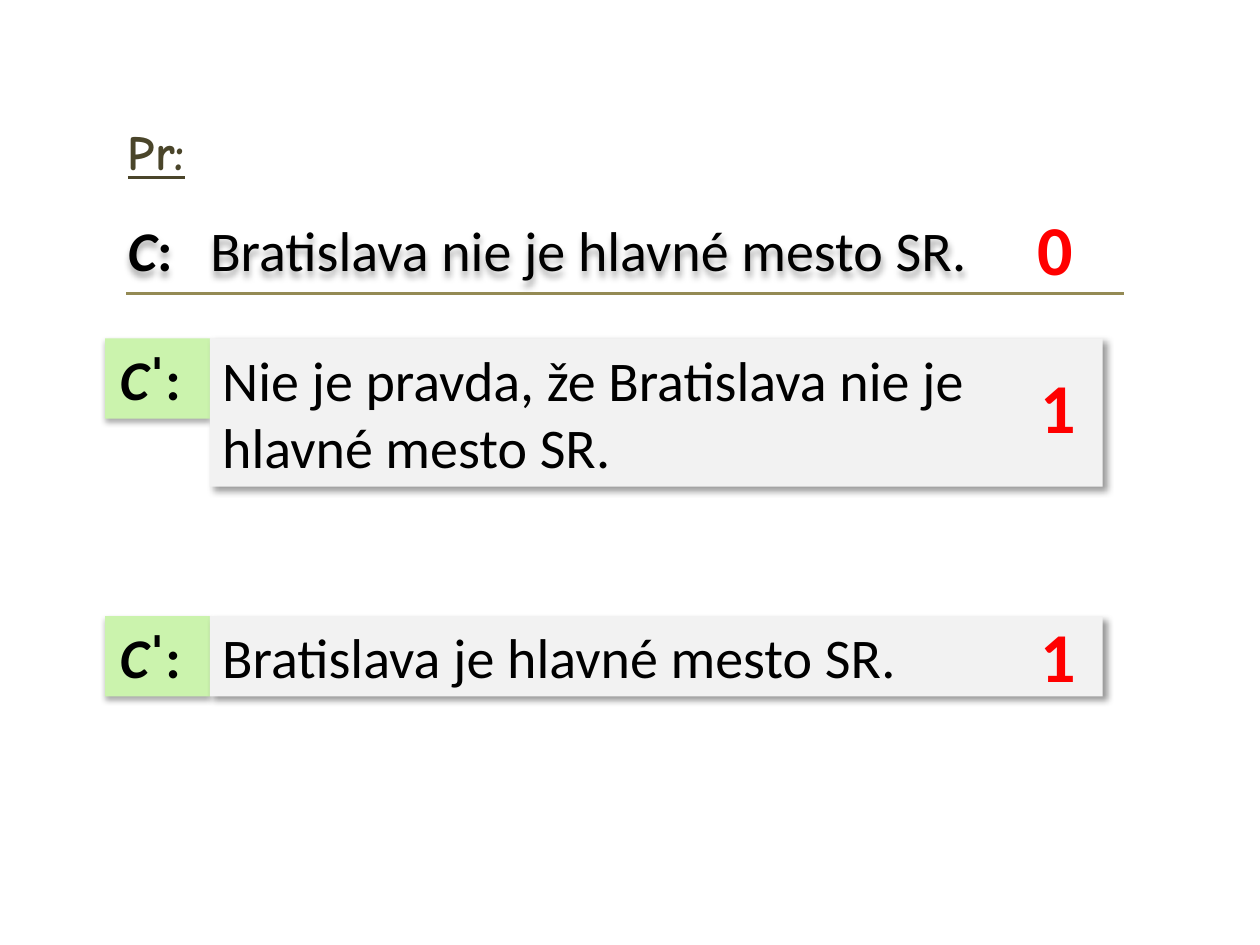
from lxml import etree
from pptx import Presentation
from pptx.dml.color import RGBColor
from pptx.enum.shapes import MSO_CONNECTOR, MSO_SHAPE
from pptx.enum.text import MSO_ANCHOR, MSO_AUTO_SIZE, PP_ALIGN
from pptx.oxml.ns import qn
from pptx.util import Cm, Pt

RECT = MSO_SHAPE.RECTANGLE
LINE = MSO_CONNECTOR.STRAIGHT
LEFT, CENTER = PP_ALIGN.LEFT, PP_ALIGN.CENTER
TOP, MIDDLE = MSO_ANCHOR.TOP, MSO_ANCHOR.MIDDLE
FIT = MSO_AUTO_SIZE.SHAPE_TO_FIT_TEXT

COLORS = {
    "title": "4A452A",
    "text": "000000",
    "value": "FF0000",
    "tag": "CBF3AD",
    "panel": "F2F2F2",
    "rule": "948A54",
}
SOFT = {"alpha": 32, "blur": 3.5, "dist": 2.2, "angle": 90}
DEEP = {"alpha": 40, "blur": 4, "dist": 3, "angle": 45}


def color(name):
    return RGBColor.from_string(COLORS[name])


def shade(shape, alpha=0, blur=0, dist=0, angle=0):
    effects = etree.SubElement(shape._element.spPr, qn("a:effectLst"))
    if alpha:
        outer = etree.SubElement(
            effects, qn("a:outerShdw"), blurRad=str(Pt(blur)),
            dist=str(Pt(dist)), dir=str(angle * 60000), rotWithShape="0")
        black = etree.SubElement(outer, qn("a:srgbClr"), val=COLORS["text"])
        etree.SubElement(black, qn("a:alpha"), val=str(alpha * 1000))


def write(shape, *parts, size=32, face="Calibri", ink="text", align=LEFT,
          anchor=TOP, inset=0.25, tab=None, wrap=True):
    frame = shape.text_frame
    frame.word_wrap = wrap
    frame.auto_size = FIT
    frame.vertical_anchor = anchor
    frame.margin_left = Cm(inset)
    para = frame.paragraphs[0]
    para.alignment = align
    if tab:
        stops = etree.SubElement(para._p.get_or_add_pPr(), qn("a:tabLst"))
        etree.SubElement(stops, qn("a:tab"), pos=str(Cm(tab)), algn="l")
    for text, style in parts:
        run = para.add_run()
        run.text = text
        font = run.font
        font.name, font.size = face, Pt(size)
        font.color.rgb = color(ink)
        font.bold = "b" in style
        font.italic = "i" in style
        font.underline = "u" in style


def place(shape, left, top, width, height):
    shape.left, shape.top = Cm(left), Cm(top)
    shape.width, shape.height = Cm(width), Cm(height)


def label(slide, box, *parts, **style):
    shape = slide.shapes.add_textbox(*map(Cm, box))
    write(shape, *parts, **style)
    return shape


def panel(slide, box, fill, glow, *parts, **style):
    shape = slide.shapes.add_shape(RECT, *map(Cm, box))
    shape.fill.solid()
    shape.fill.fore_color.rgb = color(fill)
    shape.line.fill.background()
    shade(shape, **glow)
    write(shape, *parts, **style)


def value(slide, left, top, digit):
    label(slide, (left, top, 2.33, 1.96), (digit, "b"), size=40,
          ink="value", align=CENTER)


def negate(slide, top, height, text, mark):
    panel(slide, (2.12, top, 2.12, 1.62), "tag", SOFT,
          ("C", "bi"), ("ˈ:", "b"), inset=0.3)
    panel(slide, (4.23, top, 18, height), "panel", DEEP, (text, ""),
          anchor=MIDDLE)
    value(slide, 20.17, mark, "1")


def rule(slide, left, right, top):
    line = slide.shapes.add_connector(
        LINE, Cm(left), Cm(top), Cm(right), Cm(top))
    line.line.color.rgb = color("rule")
    line.line.width = Pt(2)
    shade(line)


def main():
    deck = Presentation()
    deck.slide_width, deck.slide_height = Cm(25.4), Cm(19.05)
    slide = deck.slides.add_slide(deck.slide_layouts[5])

    title = slide.shapes.title
    place(title, 2.33, 2.33, 2.54, 1.45)
    write(title, ("Pr:", "bu"), size=28, face="Comic Neue", ink="title")

    claim = label(slide, (2.33, 4.23, 18.63, 1.62), ("C", "bi"),
                  (":\t", "b"), ("Bratislava nie je hlavné mesto SR.", ""),
                  tab=1.66)
    shade(claim, **SOFT)
    value(slide, 20.11, 4.02, "0")
    rule(slide, 2.54, 22.65, 5.92)

    negate(slide, 6.82, 2.99,
           "Nie je pravda, že Bratislava nie je hlavné mesto SR.", 7.2)
    negate(slide, 12.42, 1.62, "Bratislava je hlavné mesto SR.", 12.22)
    deck.save("out.pptx")


if __name__ == "__main__":
    main()
